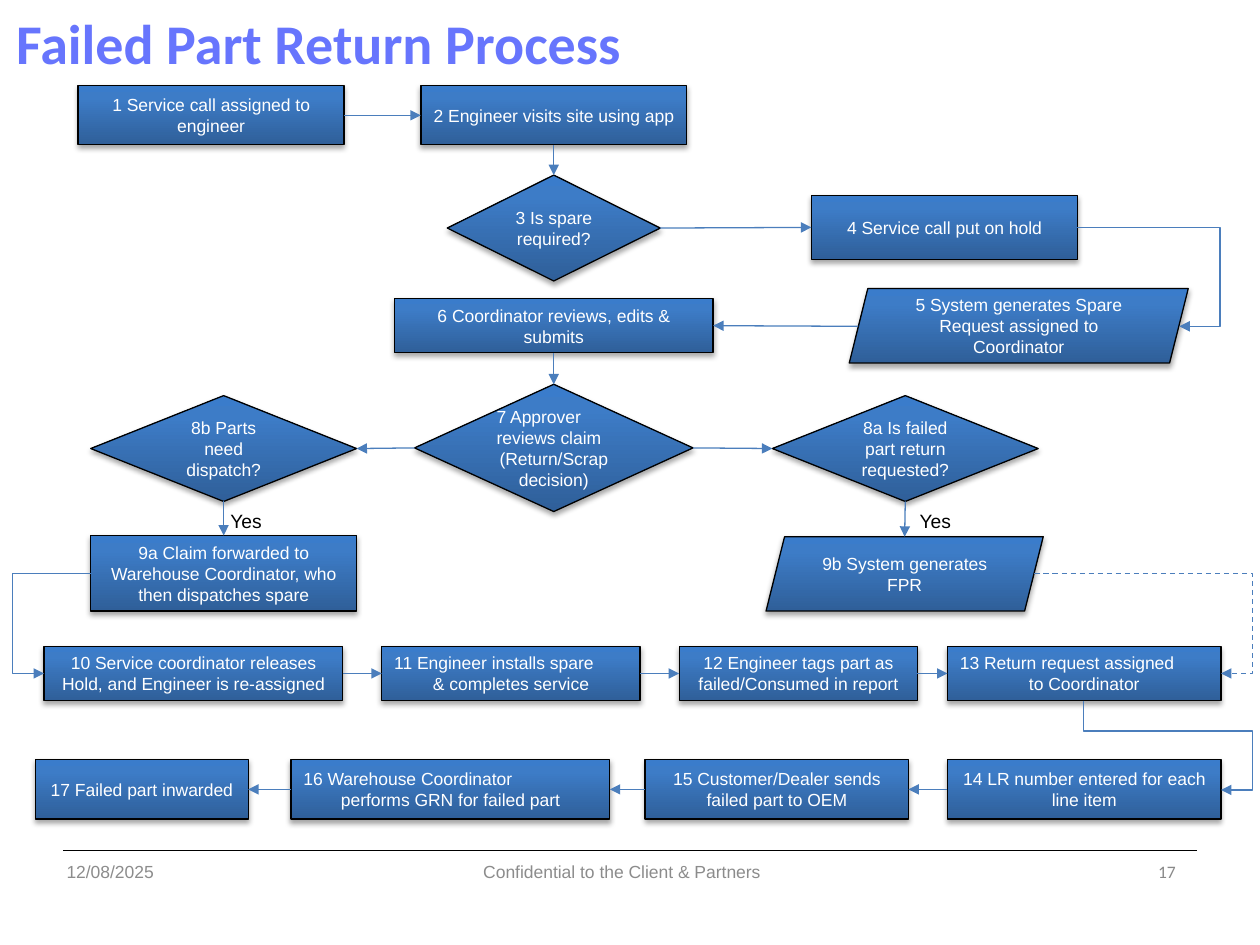
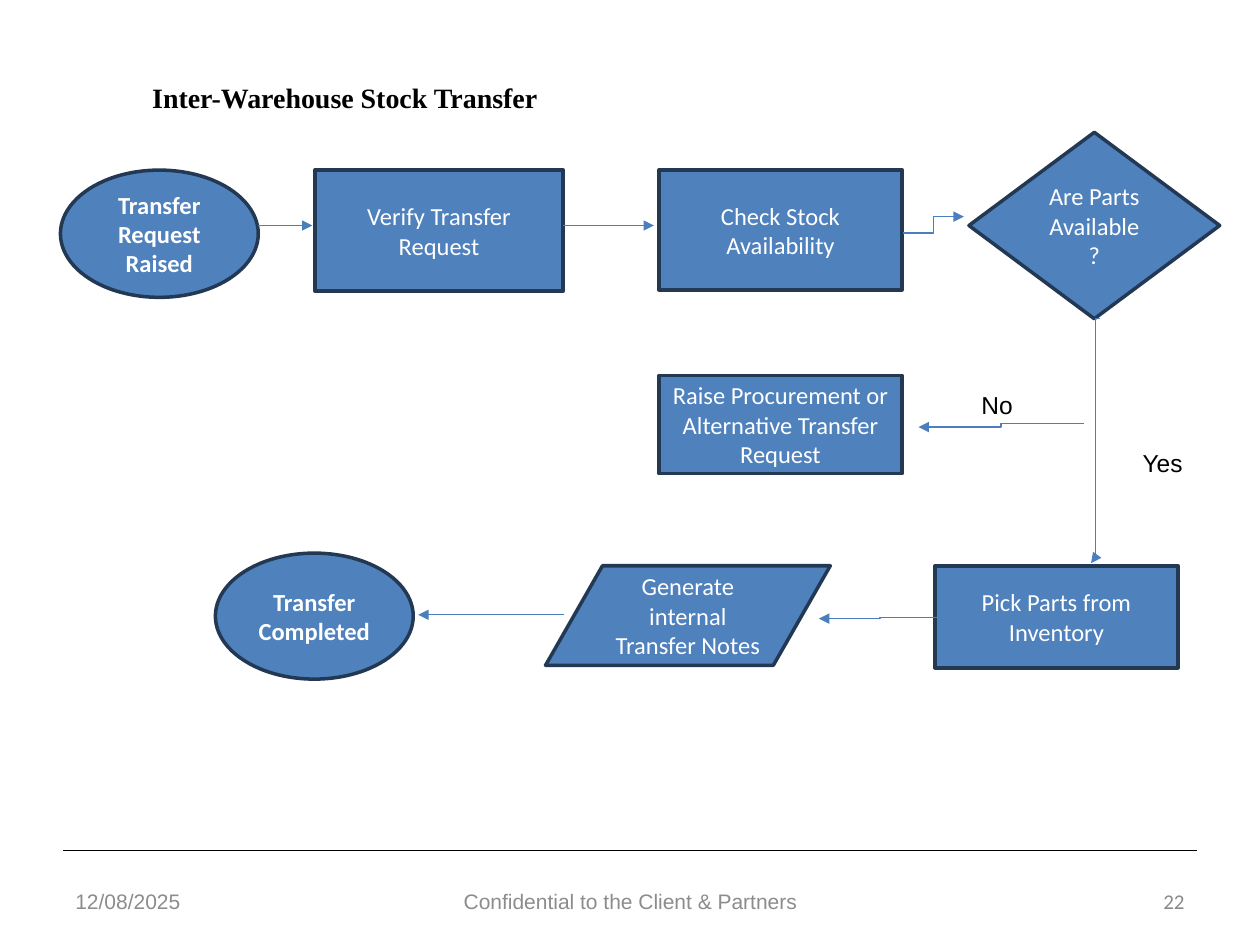
from dataclasses import dataclass
from typing import Any, NamedTuple

from lxml import etree
from pptx import Presentation
from pptx.dml.color import RGBColor
from pptx.enum.dml import MSO_LINE
from pptx.enum.shapes import MSO_CONNECTOR, MSO_SHAPE
from pptx.enum.text import MSO_ANCHOR, MSO_AUTO_SIZE, PP_ALIGN
from pptx.oxml.ns import qn
from pptx.util import Cm, Pt

RECT, OVAL = MSO_SHAPE.RECTANGLE, MSO_SHAPE.OVAL
RHOMB, SLANT = MSO_SHAPE.DIAMOND, MSO_SHAPE.PARALLELOGRAM
DATA = MSO_SHAPE.FLOWCHART_DATA
STRAIGHT, ELBOW = MSO_CONNECTOR.STRAIGHT, MSO_CONNECTOR.ELBOW
LEFT, MID, RIGHT = PP_ALIGN.LEFT, PP_ALIGN.CENTER, PP_ALIGN.RIGHT
MIDDLE, TOP = MSO_ANCHOR.MIDDLE, MSO_ANCHOR.TOP
GROW, FIXED = MSO_AUTO_SIZE.SHAPE_TO_FIT_TEXT, MSO_AUTO_SIZE.NONE
DASH = MSO_LINE.DASH
NORTH, WEST, SOUTH, EAST = range(4)


@dataclass(frozen=True)
class Theme:
    black: str = "000000"
    white: str = "FFFFFF"
    title: str = "6775FD"
    muted: str = "8C8C8C"
    page: str = "898989"
    arrow: str = "4B7EBC"
    flat: str = "4F81BD"
    edge: str = "233953"
    shades: tuple = ((0, "2F5F99"), (80, "3D7CC7"), (100, "3A7CCB"))
    sans: str = "Arial"
    body: str = "Calibri"
    serif: str = "Times New Roman"
    thin: float = 0.75
    thick: float = 2
    step: int = 10
    tag: int = 11
    foot: int = 12
    large: int = 14
    head: int = 16
    banner: int = 32


THEME = Theme()


class Look(NamedTuple):
    size: float
    font: str
    color: str
    bold: bool = False


class Box(NamedTuple):
    key: str
    left: float
    top: float
    wide: float
    high: float
    text: str
    kind: Any = RECT
    bold: bool = False


class Label(NamedTuple):
    left: float
    top: float
    wide: float
    high: float
    text: str
    look: Look
    align: Any = LEFT
    anchor: Any = TOP
    fit: Any = GROW
    wrap: bool = True


class Link(NamedTuple):
    start: tuple
    end: tuple
    bent: bool = False
    bends: tuple = ()
    dash: bool = False
    turn: int = 0


def unit(value: float) -> Cm:
    return Cm(value * 2.54)


def apply(target: Any, values: dict) -> None:
    for name, value in values.items():
        setattr(target, name, value)


def add_node(parent: Any, tag: str, **values: Any) -> Any:
    return etree.SubElement(parent, qn(tag), {k: str(v) for k, v in values.items()})


def write(frame: Any, text: str, look: Look, align: Any) -> None:
    lines = text.split("\n")
    for spot, line in enumerate(lines):
        para = frame.paragraphs[0] if spot == 0 else frame.add_paragraph()
        para.alignment = LEFT if spot < len(lines) - 1 else align
        run = para.add_run()
        run.text = line
        apply(run.font, {"size": Pt(look.size), "name": look.font, "bold": look.bold})
        run.font.color.rgb = RGBColor.from_string(look.color)


def paint_line(line: Any, color: str, width: float) -> None:
    line.color.rgb = RGBColor.from_string(color)
    line.width = Pt(width)


def paint_glossy(shape: Any) -> None:
    shape.fill.gradient()
    shape.fill.gradient_angle = 90
    props = shape.element.spPr
    stops = props.find(".//" + qn("a:gsLst"))
    for stop in list(stops):
        stops.remove(stop)
    for place, color in THEME.shades:
        add_node(add_node(stops, "a:gs", pos=place * 1000), "a:srgbClr", val=color)
    paint_line(shape.line, THEME.black, THEME.thin)
    shadow = add_node(props.find(qn("a:effectLst")), "a:outerShdw", blurRad=Pt(3.1),
                      dist=Pt(1.8), dir=5400000, rotWithShape=0)
    add_node(add_node(shadow, "a:srgbClr", val=THEME.black), "a:alpha", val=35000)


def paint_flat(shape: Any) -> None:
    shape.fill.solid()
    shape.fill.fore_color.rgb = RGBColor.from_string(THEME.flat)
    paint_line(shape.line, THEME.edge, THEME.thick)


def draw_box(slide: Any, box: Box, look: Look, paint: Any) -> Any:
    shape = slide.shapes.add_shape(box.kind, *map(unit, box[1:5]))
    shape.shadow.inherit = False
    paint(shape)
    apply(shape.text_frame, {"word_wrap": True, "vertical_anchor": MIDDLE})
    write(shape.text_frame, box.text, look._replace(bold=box.bold), MID)
    return shape


def draw_label(slide: Any, label: Label) -> None:
    frame = slide.shapes.add_textbox(*map(unit, label[:4])).text_frame
    apply(frame, {"word_wrap": label.wrap, "auto_size": label.fit,
                  "vertical_anchor": label.anchor})
    write(frame, label.text, label.look, label.align)


def find_point(end: tuple, shapes: dict) -> tuple:
    if not isinstance(end[0], str):
        return unit(end[0]), unit(end[1])
    shape, side = shapes[end[0]], end[1]
    across = {WEST: 0, EAST: 2}.get(side, 1)
    down = {NORTH: 0, SOUTH: 2}.get(side, 1)
    return (shape.left + shape.width * across // 2,
            shape.top + shape.height * down // 2)


def draw_line(slide: Any, kind: Any, start: tuple, end: tuple, color: str) -> Any:
    line = slide.shapes.add_connector(kind, *start, *end)
    paint_line(line.line, color, THEME.thin)
    add_node(line.element.spPr, "a:effectLst")
    return line


def draw_link(slide: Any, link: Link, shapes: dict) -> None:
    kind = ELBOW if link.bent else STRAIGHT
    start, end = (find_point(spot, shapes) for spot in (link.start, link.end))
    line = draw_line(slide, kind, start, end, THEME.arrow)
    if link.dash:
        line.line.dash_style = DASH
    props = line.element.spPr
    add_node(props.find(qn("a:ln")), "a:tailEnd", type="triangle")
    if link.turn:
        props.find(qn("a:xfrm")).set("rot", str(link.turn * 60000))
    shape = props.find(qn("a:prstGeom"))
    if len(link.bends) == 2:
        shape.set("prst", "bentConnector4")
    for spot, bend in enumerate(link.bends, 1):
        name = f"adj{spot}"
        add_node(shape.find(qn("a:avLst")), "a:gd", name=name,
                 fmla=f"val {round(bend * 100000)}")
    joins = ((link.start, line.begin_connect), (link.end, line.end_connect))
    for spot, join in joins:
        if not link.bent and isinstance(spot[0], str):
            if shapes[spot[0]].auto_shape_type in (RECT, RHOMB):
                join(shapes[spot[0]], spot[1])


def draw_foot(slide: Any, page: str, left: float, top: float, size: int,
              middle: float) -> None:
    draw_line(slide, STRAIGHT, (unit(0.5), unit(6.75)), (unit(9.5), unit(6.75)),
              THEME.black)
    grey = Look(size, THEME.sans, THEME.muted)
    number = Look(size, THEME.body, THEME.page)
    for place, wide, text, look, align in (
        (left, 2.33, "12/08/2025", grey, LEFT),
        (middle, 3.17, "Confidential to the Client & Partners", grey, MID),
        (left + 6.67, 2.33, page, number, RIGHT),
    ):
        draw_label(slide, Label(place, top, wide, 0.4, text, look, align, MIDDLE, FIXED))


def draw_flow(slide: Any, boxes: list, links: list, labels: list, look: Look,
              paint: Any) -> None:
    shapes = {box.key: draw_box(slide, box, look, paint) for box in boxes}
    for link in links:
        draw_link(slide, link, shapes)
    for label in labels:
        draw_label(slide, label)


def build_return(slide: Any) -> None:
    draw_foot(slide, "17", 0.43, 6.72, THEME.step, 3.35)
    boxes = [
        Box("1", 0.62, 0.68, 2.11, 0.47, "1 Service call assigned to engineer"),
        Box("2", 3.34, 0.68, 2.11, 0.47, "2 Engineer visits site using app"),
        Box("3", 3.55, 1.39, 1.69, 0.84, "3 Is spare required?", RHOMB),
        Box("4", 6.44, 1.55, 2.11, 0.51, "4 Service call put on hold"),
        Box("5", 6.74, 2.29, 2.69, 0.59,
            "5 System generates Spare Request assigned to Coordinator", SLANT),
        Box("6", 3.13, 2.37, 2.53, 0.43, "6 Coordinator reviews, edits & submits"),
        Box("7", 3.29, 3.05, 2.21, 1.01,
            "7 Approver reviews claim\n(Return/Scrap decision)", RHOMB),
        Box("8a", 6.13, 3.14, 2.11, 0.84, "8a Is failed part return requested?", RHOMB),
        Box("8b", 0.72, 3.14, 2.11, 0.84, "8b Parts need dispatch?", RHOMB),
        Box("9a", 0.72, 4.25, 2.11, 0.6,
            "9a Claim forwarded to Warehouse Coordinator, who then dispatches spare"),
        Box("9b", 6.08, 4.26, 2.2, 0.59, "9b System generates FPR", SLANT),
    ]
    rows = (
        (5.13, 0.43, (
            ("10", 0.35, 2.37,
             "10 Service coordinator releases Hold, and Engineer is re-assigned"),
            ("11", 3.03, 2.05, "11 Engineer installs spare\n& completes service"),
            ("12", 5.39, 1.89, "12 Engineer tags part as failed/Consumed in report"),
            ("13", 7.52, 2.17, "13 Return request assigned\nto Coordinator"))),
        (6.03, 0.47, (
            ("14", 7.52, 2.17, "14 LR number entered for each line item"),
            ("15", 5.12, 2.09, "15 Customer/Dealer sends failed part to OEM"),
            ("16", 2.31, 2.53, "16 Warehouse Coordinator\nperforms GRN for failed part"),
            ("17", 0.28, 1.69, "17 Failed part inwarded"))),
    )
    boxes += [Box(key, left, top, wide, high, text)
              for top, high, items in rows for key, left, wide, text in items]
    pairs = {
        (EAST, WEST): ("1 2", "3 4", "7 8a", "10 11", "11 12", "12 13"),
        (SOUTH, NORTH): ("2 3", "6 7", "8b 9a", "8a 9b"),
        (WEST, EAST): ("7 8b", "14 15", "15 16", "16 17"),
    }
    links = [Link((pair.split()[0], out), (pair.split()[1], into))
             for (out, into), group in pairs.items() for pair in group]
    links += [
        Link((6.81, 2.59), ("6", EAST)),
        Link(("4", EAST), (9.36, 2.59), True, (1.4,)),
        Link((8.21, 4.55), ("13", EAST), True, (1.17,), dash=True),
        Link(("9a", WEST), ("10", WEST), True, (1.68,)),
        Link((9.5, 5.37), (8.79, 6.46), True, (0.34, 1.23), turn=270),
    ]
    tag = Look(THEME.tag, THEME.sans, THEME.black)
    labels = [Label(left, 3.99, 0.47, 0.29, "Yes", tag, wrap=False)
              for left in (1.73, 7.2)]
    labels.append(Label(0.03, 0.02, 8.59, 0.64, "Failed Part Return Process",
                        Look(THEME.banner, THEME.body, THEME.title, True)))
    draw_flow(slide, boxes, links, labels,
              Look(THEME.step, THEME.sans, THEME.white), paint_glossy)


def build_stock(slide: Any) -> None:
    draw_foot(slide, "22", 0.5, 6.95, THEME.foot, 3.42)
    boxes = [
        Box("raise", 0.48, 1.35, 1.57, 1.01, "Transfer Request Raised", OVAL, True),
        Box("check", 2.5, 1.35, 1.97, 0.96, "Verify Transfer Request"),
        Box("stock", 5.23, 1.35, 1.93, 0.95, "Check Stock Availability"),
        Box("ask", 7.69, 1.05, 1.99, 1.48, "Are Parts Available?", RHOMB),
        Box("buy", 5.23, 2.98, 1.93, 0.78,
            "Raise Procurement or Alternative Transfer Request"),
        Box("notes", 4.33, 4.49, 2.26, 0.79, "Generate internal Transfer Notes", DATA),
        Box("done", 1.71, 4.39, 1.57, 1, "Transfer Completed", OVAL, True),
        Box("pick", 7.42, 4.49, 1.93, 0.81, "Pick Parts from Inventory"),
    ]
    links = [Link(start, end, True) for start, end in (
        ((2.05, 1.79), (2.48, 1.79)),
        ((4.47, 1.79), (5.19, 1.79)),
        ((7.17, 1.85), (7.65, 1.72)),
        ((8.73, 2.53), (8.66, 4.47)),
        ((7.47, 4.9), (6.5, 4.91)),
        ((4.48, 4.88), (3.32, 4.88)),
        ((8.6, 3.36), (7.29, 3.39)),
    )]
    tag = Look(THEME.large, THEME.sans, THEME.black)
    labels = [
        Label(8.97, 3.51, 0.9, 0.34, "Yes", tag),
        Label(7.69, 3.05, 0.9, 0.34, "No", tag),
        Label(1.11, 0.59, 3.5, 0.37, "Inter-Warehouse Stock Transfer",
              Look(THEME.head, THEME.serif, THEME.black, True)),
    ]
    draw_flow(slide, boxes, links, labels,
              Look(THEME.large, THEME.body, THEME.white), paint_flat)


def main() -> None:
    deck = Presentation()
    apply(deck, {"slide_width": Cm(25.4), "slide_height": Cm(19.05)})
    for build in (build_return, build_stock):
        build(deck.slides.add_slide(deck.slide_layouts[6]))
    deck.save("out.pptx")


if __name__ == "__main__":
    main()
